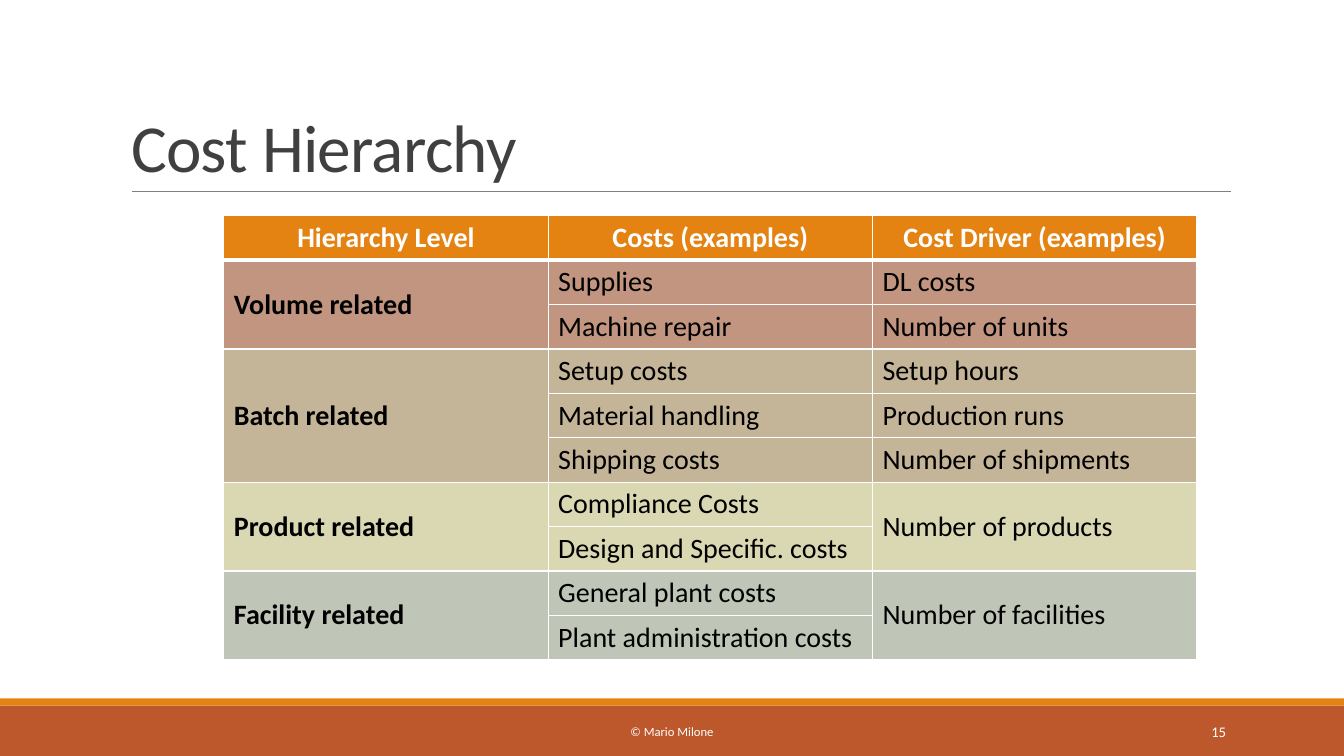
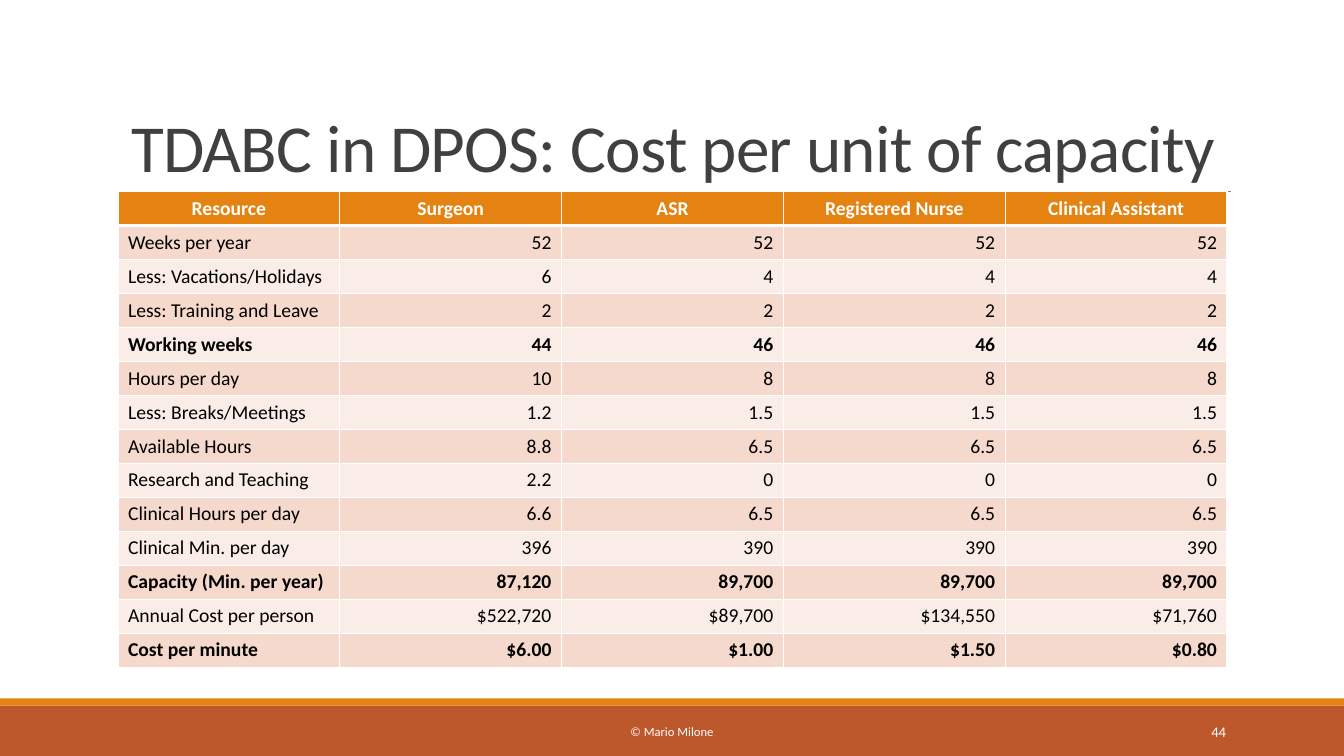
import lxml.etree
import pptx
import pptx.dml.color
import pptx.enum.shapes
import pptx.enum.text
import pptx.oxml
import pptx.oxml.ns
import pptx.util

Inches = pptx.util.Inches
Pt = pptx.util.Pt
ALIGN = pptx.enum.text.PP_ALIGN
ANCHOR = pptx.enum.text.MSO_ANCHOR
qn = pptx.oxml.ns.qn

COLORS = {
    "white": "FFFFFF",
    "black": "000000",
    "title": "404040",
    "rule": "808080",
    "footer": "BD582C",
    "accent": "E48312",
    "volume": "C29580",
    "batch": "C5B598",
    "product": "DAD7B3",
    "facility": "BFC6B8",
    "band_dark": "F5D9CC",
    "band_light": "FAEDE7",
}
FONT = "Calibri"
TITLE_BOX = {"left": 1.2, "top": 0.31, "width": 11, "height": 1.59}
FRAME_FORMAT = {
    "word_wrap": True,
    "auto_size": pptx.enum.text.MSO_AUTO_SIZE.NONE,
}

HIERARCHY = [
    ("Hierarchy Level", "Costs (examples)", "Cost Driver (examples)"),
    ("Volume related", "Supplies", "DL costs"),
    ("", "Machine repair", "Number of units"),
    ("Batch related", "Setup costs", "Setup hours"),
    ("", "Material handling", "Production runs"),
    ("", "Shipping costs", "Number of shipments"),
    ("Product related", "Compliance Costs", "Number of products"),
    ("", "Design and Specific. costs", ""),
    ("Facility related", "General plant costs", "Number of facilities"),
    ("", "Plant administration costs", ""),
]
HIERARCHY_FILLS = (
    ["volume"] * 2 + ["batch"] * 3 + ["product"] * 2 + ["facility"] * 2
)

CAPACITY = [
    ("Resource", "Surgeon", "ASR", "Registered Nurse", "Clinical Assistant"),
    ("Weeks per year", "52", "52", "52", "52"),
    ("Less: Vacations/Holidays", "6", "4", "4", "4"),
    ("Less: Training and Leave", "2", "2", "2", "2"),
    ("Working weeks", "44", "46", "46", "46"),
    ("Hours per day", "10", "8", "8", "8"),
    ("Less: Breaks/Meetings", "1.2", "1.5", "1.5", "1.5"),
    ("Available Hours", "8.8", "6.5", "6.5", "6.5"),
    ("Research and Teaching", "2.2", "0", "0", "0"),
    ("Clinical Hours per day", "6.6", "6.5", "6.5", "6.5"),
    ("Clinical Min. per day", "396", "390", "390", "390"),
    ("Capacity (Min. per year)", "87,120", "89,700", "89,700", "89,700"),
    ("Annual Cost per person", "$522,720", "$89,700", "$134,550", "$71,760"),
    ("Cost per minute", "$6.00", "$1.00", "$1.50", "$0.80"),
]
CAPACITY_TOTALS = {"Working weeks", "Capacity (Min. per year)", "Cost per minute"}


def rgb(name):
    """Return the palette colour as an RGBColor."""
    return pptx.dml.color.RGBColor.from_string(COLORS[name])


def apply_format(target, values):
    """Set every attribute in values on target."""
    for name, value in values.items():
        setattr(target, name, value)


def write_text(frame, text, size, color, align=ALIGN.LEFT, bold=False):
    """Fill a text frame with one formatted run and return the run."""
    paragraph = frame.paragraphs[0]
    paragraph.alignment = align
    run = paragraph.add_run()
    run.text = text
    apply_format(run.font, {"name": FONT, "size": Pt(size), "bold": bold})
    run.font.color.rgb = rgb(color)
    return run


def add_band(slide, top, height, color):
    """Add a plain band across the full slide width."""
    band = slide.shapes.add_shape(
        pptx.enum.shapes.MSO_SHAPE.RECTANGLE,
        0, Inches(top), Inches(13.33), Inches(height),
    )
    band.shadow.inherit = False
    band.fill.solid()
    band.fill.fore_color.rgb = rgb(color)
    band.line.fill.background()
    return band


def add_rule(slide):
    """Add the thin line under the title."""
    rule = slide.shapes.add_connector(
        pptx.enum.shapes.MSO_CONNECTOR.STRAIGHT,
        Inches(1.31), Inches(1.9), Inches(12.21), Inches(1.9),
    )
    rule.line.color.rgb = rgb("rule")
    rule.line.width = Pt(0.5)
    lxml.etree.SubElement(rule.element.spPr, qn("a:effectLst"))
    return rule


def prepare_layout(layout, slide):
    """Give the layout its title position, bands and rule."""
    for placeholder in list(layout.placeholders):
        if placeholder.placeholder_format.idx:
            placeholder.element.getparent().remove(placeholder.element)
    apply_format(
        layout.placeholders[0],
        {name: Inches(value) for name, value in TITLE_BOX.items()},
    )
    for shape in (
        add_band(slide, 7, 0.5, "footer"),
        add_band(slide, 6.93, 0.07, "accent"),
        add_rule(slide),
    ):
        layout.shapes.element.append(shape.element)


def set_title(slide, text):
    """Write the slide title in the shared style."""
    frame = slide.shapes.title.text_frame
    apply_format(frame, {**FRAME_FORMAT, "vertical_anchor": ANCHOR.BOTTOM})
    run = write_text(frame, text, 48, "title")
    frame.paragraphs[0].line_spacing = 0.85
    run.font._element.set("spc", "-50")


def add_footer_text(slide, text, left, width, size, align):
    """Add one text box on the footer band."""
    box = slide.shapes.add_textbox(
        Inches(left), Inches(7.06), Inches(width), Inches(0.4)
    )
    apply_format(
        box.text_frame, {**FRAME_FORMAT, "vertical_anchor": ANCHOR.MIDDLE}
    )
    write_text(box.text_frame, text, size, "white", align)


def add_footer(slide, number):
    """Add the copyright line and the slide number."""
    add_footer_text(slide, "© Mario Milone", 4.03, 5.27, 9, ALIGN.CENTER)
    add_footer_text(slide, number, 10.83, 1.43, 10.5, ALIGN.RIGHT)


def set_borders(cell, top, bottom):
    """Draw white cell borders with the given top and bottom widths."""
    properties = cell._tc.get_or_add_tcPr()
    for side, width in (("L", 1), ("R", 1), ("T", top), ("B", bottom)):
        line = lxml.etree.SubElement(
            properties, qn(f"a:ln{side}"), w=str(Pt(width))
        )
        fill = lxml.etree.SubElement(line, qn("a:solidFill"))
        lxml.etree.SubElement(fill, qn("a:srgbClr"), val=COLORS["white"])


def add_grid(slide, rows, fills, box, size, anchor, value_align, is_bold):
    """Add a table whose empty cells join the cell above."""
    left, top, width, row_height = box
    table = slide.shapes.add_table(
        len(rows), len(rows[0]), Inches(left), Inches(top),
        Inches(width), Inches(row_height * len(rows)),
    ).table
    table.horz_banding = False
    for row_index, (row, fill) in enumerate(zip(rows, ["accent"] + fills)):
        header = row_index == 0
        for column_index, text in enumerate(row):
            cell = table.cell(row_index, column_index)
            set_borders(cell, 3 if row_index == 1 else 1, 3 if header else 1)
            cell.fill.solid()
            cell.fill.fore_color.rgb = rgb(fill)
            cell.vertical_anchor = ANCHOR.TOP if header else anchor
            align = value_align if column_index else ALIGN.LEFT
            if text:
                write_text(
                    cell.text_frame, text, size,
                    "white" if header else "black",
                    ALIGN.CENTER if header else align,
                    header or is_bold(row, column_index),
                )
    merge_empty_cells(table, rows)


def merge_empty_cells(table, rows):
    """Merge each run of empty cells with the filled cell above it."""
    for column_index, column in enumerate(zip(*rows)):
        filled = [index for index, text in enumerate(column) if text]
        for start, following in zip(filled, filled[1:] + [len(rows)]):
            if following - start > 1:
                table.cell(start, column_index).merge(
                    table.cell(following - 1, column_index)
                )


def add_hierarchy_table(slide):
    """Add the table of cost levels, costs and drivers."""
    add_grid(
        slide, HIERARCHY, HIERARCHY_FILLS, (2.22, 2.14, 9.65, 0.44), 20,
        ANCHOR.MIDDLE, ALIGN.LEFT, lambda row, column: column == 0,
    )


def add_capacity_table(slide):
    """Add the table of capacity and cost per resource."""
    fills = [
        "band_light" if index % 2 else "band_dark"
        for index in range(len(CAPACITY) - 1)
    ]
    add_grid(
        slide, CAPACITY, fills, (1.17, 1.9, 11, 0.33), 14,
        ANCHOR.TOP, ALIGN.RIGHT, lambda row, column: row[0] in CAPACITY_TOTALS,
    )


def main():
    """Build and save the presentation."""
    presentation = pptx.Presentation()
    presentation.slide_width = Inches(13.33)
    presentation.slide_height = Inches(7.5)
    layout = presentation.slide_layouts[5]
    slides = (
        ("Cost Hierarchy", "15", add_hierarchy_table),
        ("TDABC in DPOS: Cost per unit of capacity", "44", add_capacity_table),
    )
    for index, (title, number, add_content) in enumerate(slides):
        slide = presentation.slides.add_slide(layout)
        if index == 0:
            prepare_layout(layout, slide)
        set_title(slide, title)
        add_content(slide)
        add_footer(slide, number)
    presentation.save("out.pptx")


if __name__ == "__main__":
    main()
